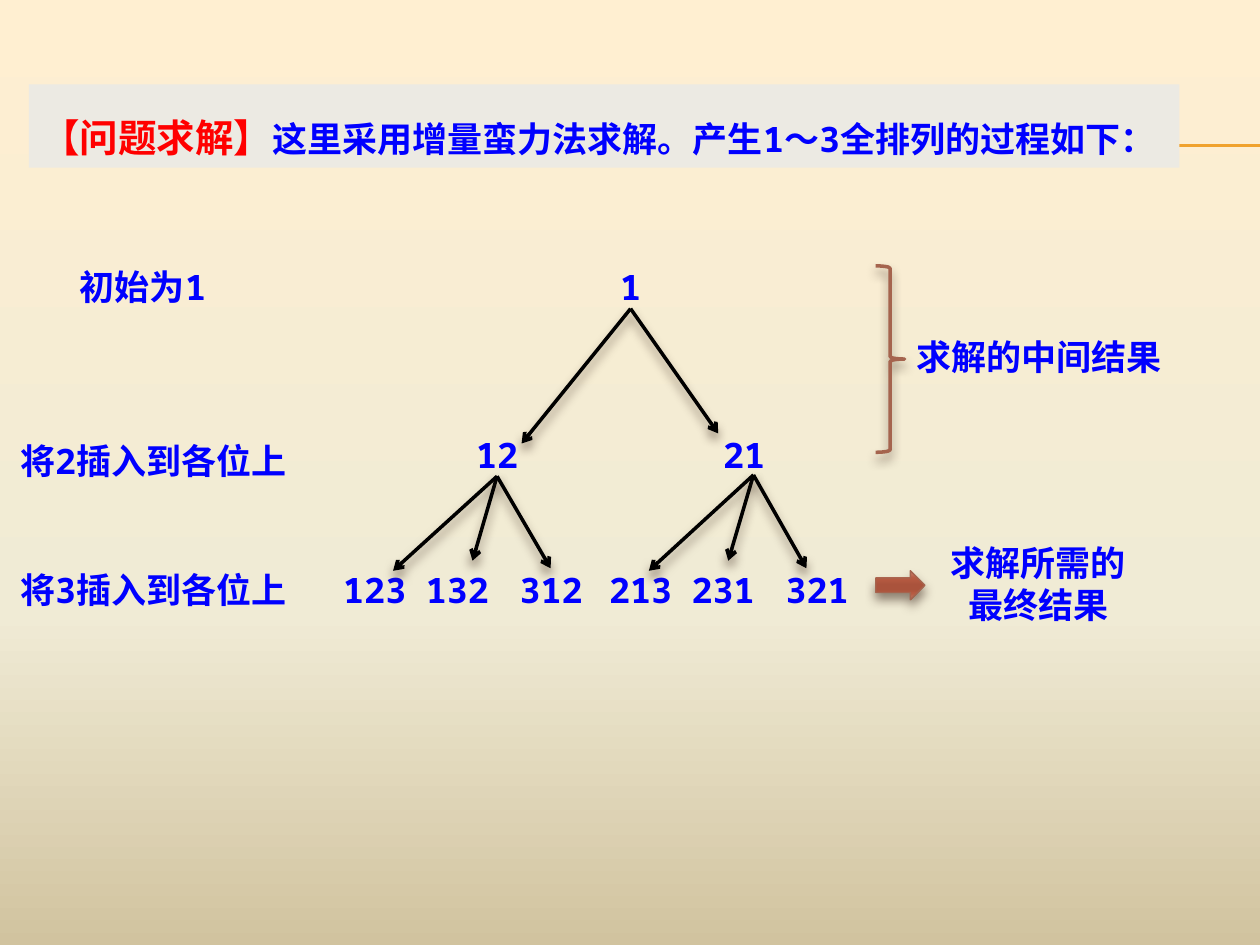
"""Build the slide on making the permutations of 1 to 3 step by step."""
import typing

import lxml.etree
import pptx
import pptx.dml.color
import pptx.enum.dml
import pptx.enum.shapes
import pptx.enum.text
import pptx.oxml
import pptx.oxml.ns
import pptx.util

In = pptx.util.Inches
Pt = pptx.util.Pt
Align = pptx.enum.text.PP_ALIGN
Shape = pptx.enum.shapes.MSO_SHAPE
qn = pptx.oxml.ns.qn

HUES = {
    "text": "0000FF", "lead": "FF0000", "band": "ECEAE3", "rule": "F0A22E",
    "edge": "000000", "rust": "A5644E", "shade": "4E3B30",
}
SKY = [(0, "FFEFD1"), (65, "F0EBD5"), (100, "D1C39F")]
GLOW = [(0, "CD8473"), (25, "B75B42"), (50, "AA533C"),
        (65, "AA533C"), (80, "B65B42"), (100, "C77D6B")]
MONO = "Noto Sans Mono"
SANS = "Noto Sans CJK SC"


class Label(typing.NamedTuple):
    lines: tuple[str, ...]
    left: float
    top: float
    width: float
    align: typing.Any = Align.CENTER


class Tree(typing.NamedTuple):
    leaves: tuple[str, str, str]
    shift: float
    root: float


LABELS = [
    Label(("初始为1",), 0.47, 2.11, 1.33),
    Label(("将2插入到各位上",), 0.16, 3.49, 2.42, Align.LEFT),
    Label(("将3插入到各位上",), 0.16, 4.51, 2.34, Align.LEFT),
    Label(("求解所需的", "最终结果"), 7.42, 4.3, 1.64),
    Label(("求解的中间结果",), 7.27, 2.66, 2.19, Align.LEFT),
]
TREES = [Tree(("123", "132", "312"), 0, 3.95), Tree(("213", "231", "321"), 2.11, 5.98)]
SLOTS = [(2.66, 0.63), (3.28, 0.7), (4.06, 0.63)]
TIPS = [(-0.83, 4.53), (-0.2, 4.45), (0.42, 4.51)]


def hue(name: str) -> pptx.dml.color.RGBColor:
    return pptx.dml.color.RGBColor.from_string(HUES[name])


def blend(fill, stops: list[tuple[int, str]]) -> None:
    fill.gradient()
    fill.gradient_angle = 270
    grid = fill._fill._gradFill.find(qn("a:gsLst"))
    for old in list(grid):
        grid.remove(old)
    for place, code in stops:
        stop = lxml.etree.SubElement(grid, qn("a:gs"), pos=str(place * 1000))
        lxml.etree.SubElement(stop, qn("a:srgbClr"), val=code)


def shade(item, cast: bool = True) -> None:
    props = item._element.spPr
    for old in props.findall(qn("a:effectLst")):
        props.remove(old)
    fx = lxml.etree.SubElement(props, qn("a:effectLst"))
    if cast:
        drop = lxml.etree.SubElement(
            fx, qn("a:outerShdw"), blurRad=str(Pt(6)), dist=str(Pt(4)),
            dir="5400000", rotWithShape="0")
        tint = lxml.etree.SubElement(drop, qn("a:srgbClr"), val=HUES["shade"])
        lxml.etree.SubElement(tint, qn("a:alpha"), val="60000")


def write(para, text: str, font: str = MONO, size: int = 20, tone: str = "text") -> None:
    run = para.add_run()
    run.text = text
    run.font.name = font
    run.font.size = Pt(size)
    run.font.bold = True
    run.font.color.rgb = hue(tone)
    lxml.etree.SubElement(run._r.get_or_add_rPr(), qn("a:ea"), typeface=font)


def add_label(slide, label: Label):
    box = slide.shapes.add_textbox(
        In(label.left), In(label.top), In(label.width), In(0.34 * len(label.lines)))
    frame = box.text_frame
    frame.word_wrap = True
    frame.margin_left = frame.margin_right = frame.margin_top = frame.margin_bottom = 0
    for spot, line in enumerate(label.lines):
        para = frame.add_paragraph() if spot else frame.paragraphs[0]
        para.alignment = label.align
        write(para, line)
    return box


def add_line(slide, start: tuple[float, float], end: tuple[float, float],
             tone: str, width: float):
    line = slide.shapes.add_connector(
        pptx.enum.shapes.MSO_CONNECTOR.STRAIGHT, *map(In, start + end))
    line.line.color.rgb = hue(tone)
    line.line.width = Pt(width)
    return line


def add_edge(slide, start: tuple[float, float], end: tuple[float, float], box=None) -> None:
    edge = add_line(slide, start, end, "edge", 2)
    if box is not None:
        edge.begin_connect(box, 2)
    lxml.etree.SubElement(edge.line._get_or_add_ln(), qn("a:tailEnd"), type="arrow")
    shade(edge)


def add_tree(slide, tree: Tree, box=None) -> None:
    for leaf, (left, width) in zip(tree.leaves, SLOTS):
        add_label(slide, Label((leaf,), left + tree.shift, 4.51, width))
    for step, top in TIPS:
        add_edge(slide, (tree.root, 3.77), (tree.root + step, top), box)


def add_mark(slide, kind, top: float, width: float, height: float, line: float):
    mark = slide.shapes.add_shape(kind, In(6.95), In(top), In(width), In(height))
    mark.line.color.rgb = hue("rust")
    mark.line.width = Pt(line)
    return mark


def add_title(slide) -> None:
    title = slide.shapes.title
    title.left, title.top, title.width, title.height = map(In, (0.23, 0.67, 9.13, 0.66))
    title.fill.solid()
    title.fill.fore_color.rgb = hue("band")
    frame = title.text_frame
    frame.word_wrap = True
    frame.auto_size = pptx.enum.text.MSO_AUTO_SIZE.NONE
    frame.vertical_anchor = pptx.enum.text.MSO_ANCHOR.TOP
    para = frame.paragraphs[0]
    para.alignment = Align.LEFT
    para.line_spacing = 1.5
    para.space_before = Pt(10)
    write(para, "【问题求解】", SANS, 22, "lead")
    write(para, "这里采用增量蛮力法求解。产生1～3全排列的过程如下：")


def main() -> None:
    deck = pptx.Presentation()
    deck.slide_width, deck.slide_height = In(10), In(7.5)
    slide = deck.slides.add_slide(deck.slide_layouts[5])
    blend(slide.background.fill, SKY)
    for top in (1.15, 1.16):
        shade(add_line(slide, (0.56, top), (10, top), "rule", 0.75), False)
    title = slide.shapes.title._element
    slide.shapes._spTree.append(title)
    add_title(slide)
    for label in LABELS:
        add_label(slide, label)

    one = add_label(slide, Label(("1",), 4.77, 2.11, 0.47))
    left = add_label(slide, Label(("12",), 3.67, 3.44, 0.55))
    add_label(slide, Label(("21",), 5.63, 3.44, 0.55))
    for end in ((4.14, 3.52), (5.7, 3.44)):
        add_edge(slide, (5, 2.45), end, one)
    for tree, box in zip(TREES, (left, None)):
        add_tree(slide, tree, box)

    arrow = add_mark(slide, Shape.RIGHT_ARROW, 4.53, 0.39, 0.23, 0.79)
    blend(arrow.fill, GLOW)
    shade(arrow)
    brace = add_mark(slide, Shape.RIGHT_BRACE, 2.11, 0.23, 1.48, 2)
    brace.fill.background()
    shade(brace)
    deck.save("out.pptx")


if __name__ == "__main__":
    main()
